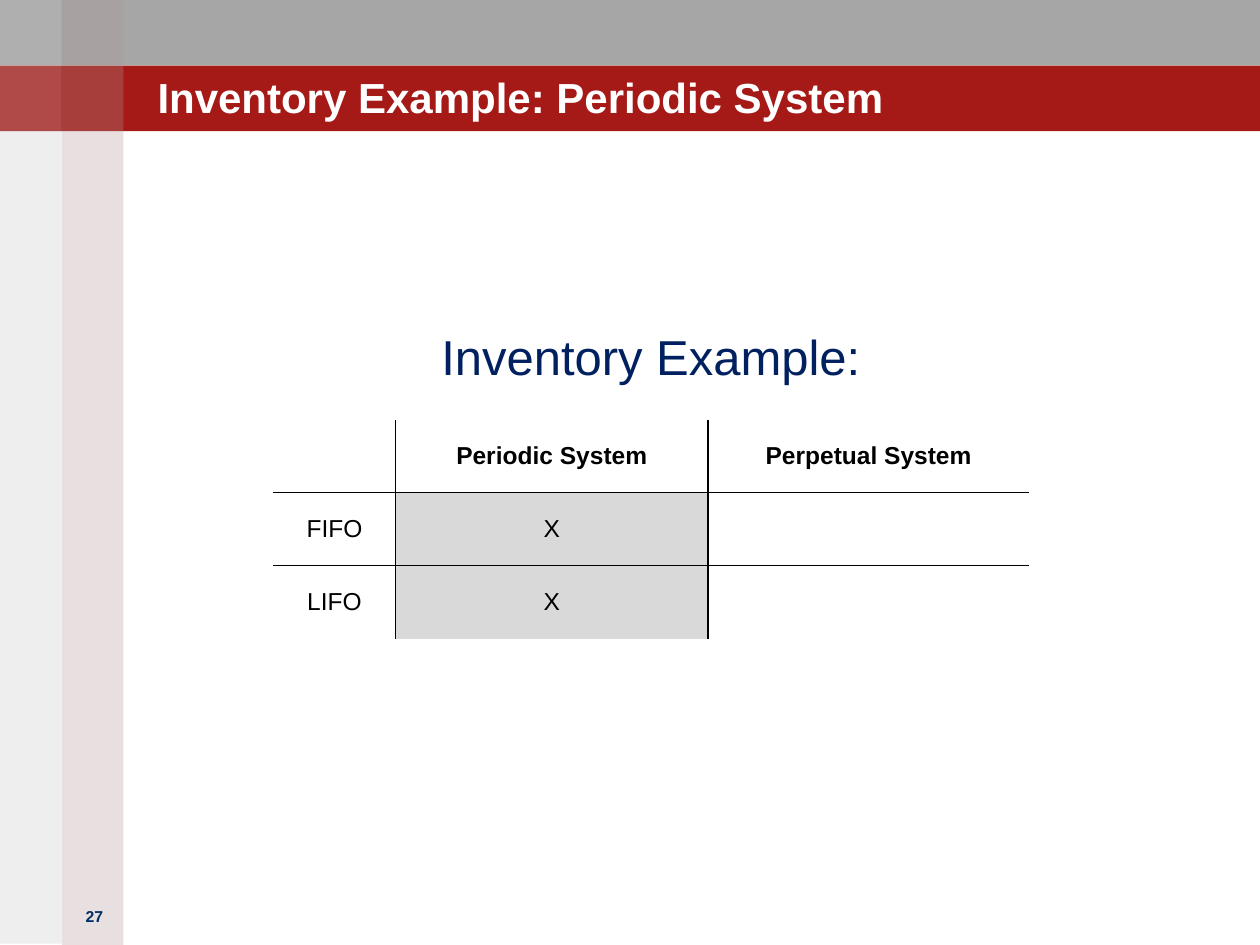
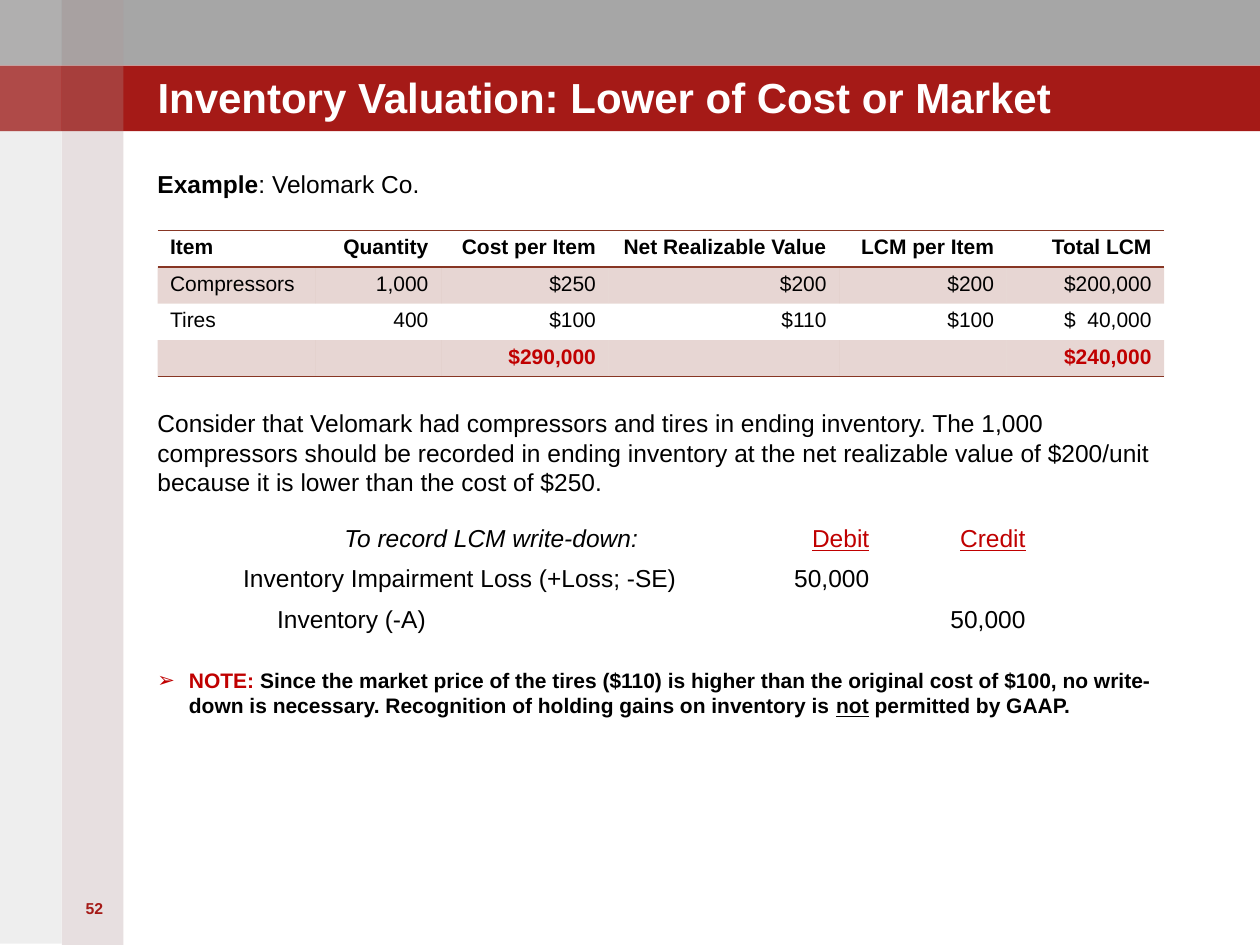
from dataclasses import dataclass

from lxml.etree import SubElement
from pptx import Presentation
from pptx.dml.color import RGBColor
from pptx.enum.shapes import MSO_SHAPE as Shape
from pptx.enum.text import MSO_ANCHOR as Anchor, PP_ALIGN as Align
from pptx.oxml.ns import qn
from pptx.util import Inches, Pt


@dataclass(frozen=True)
class Theme:
    font: str = "Arial"
    black: str = "000000"
    white: str = "FFFFFF"
    gray: str = "A6A6A6"
    red: str = "A51A17"
    accent: str = "C00000"
    navy: str = "002060"
    number_blue: str = "002E62"
    mauve: str = "A08284"
    stone: str = "938F8F"
    selected: str = "D9D9D9"
    rust: str = "873624"
    title: int = 24
    heading: int = 28
    body: int = 14
    small: int = 12
    number: int = 9


T = Theme()
LEFT, CENTER, RIGHT = Align.LEFT, Align.CENTER, Align.RIGHT
NO_TABLE_STYLE = "{2D5ABB26-0587-4C30-8999-92F81FD0307C}"

# Shared frame: left, top, width, height, colour, opacity in percent
BAND, STRIP = 0.52, 0.49
FRAME = [
    (0, 0, 10, BAND, T.gray, 100),
    (0, BAND, 10, BAND, T.red, 100),
    (STRIP, 0, STRIP, 7.5, T.mauve, 25),
    (0, 0, STRIP, 7.49, T.stone, 15),
] + [
    (x, y, STRIP, BAND, T.white, opacity)
    for y in (0, BAND)
    for x, opacity in ((STRIP, 5), (0, 15))
]

METHODS_TITLE = "Inventory Example: Periodic System"
METHODS_HEADING = "Inventory Example:"
METHODS = [
    ("", "Periodic System", "Perpetual System"),
    ("FIFO", "X", ""),
    ("LIFO", "X", ""),
]

VALUATION_TITLE = "Inventory Valuation: Lower of Cost or Market"
EXAMPLE = [("Example", {"bold": True}), (": Velomark Co.", {})]
VALUATION = [
    ("Item", "Quantity", "Cost per Item", "Net Realizable Value",
     "LCM per Item", "Total LCM"),
    ("Compressors", "1,000", "$250", "$200", "$200", "$200,000"),
    ("Tires", "400", "$100", "$110", "$100", "$  40,000"),
    ("", "", "$290,000", "", "", "$240,000"),
]
EXPLANATION = [(
    "Consider that Velomark had compressors and tires in ending inventory. "
    "The 1,000 compressors should be recorded in ending inventory at the net "
    "realizable value of $200/unit because it is lower than the cost of $250.",
    {})]
JOURNAL = [
    ("To record LCM write-down:", "Debit", "Credit"),
    ("Inventory Impairment Loss (+Loss; -SE)", "50,000", ""),
    ("Inventory (-A)", "", "50,000"),
]
NOTE = [
    ("NOTE: ", {"bold": True, "color": T.accent}),
    ("Since the market price of the tires ($110) is higher than the original "
     "cost of $100, no write-down is necessary. Recognition of holding gains "
     "on inventory is ", {"bold": True}),
    ("not", {"bold": True, "underline": True}),
    (" permitted by GAAP.", {"bold": True}),
]


def set_fill(fill, properties, color, opacity=100):
    """Fill solidly; properties is the XML element that holds the fill."""
    fill.solid()
    fill.fore_color.rgb = RGBColor.from_string(color)
    if opacity < 100:
        rgb = properties.find(qn("a:solidFill")).find(qn("a:srgbClr"))
        SubElement(rgb, qn("a:alpha"), val=str(opacity * 1000))


def add_run(paragraph, text, size, color=T.black, bold=False, italic=False,
            underline=False):
    run = paragraph.add_run()
    run.text = text
    font = run.font
    font.name, font.size = T.font, Pt(size)
    font.bold, font.italic, font.underline = bold, italic, underline
    font.color.rgb = RGBColor.from_string(color)


def fill_frame(frame, runs, size, align, anchor):
    """Write runs into a text frame without insets and return its paragraph."""
    frame.word_wrap = True
    frame.vertical_anchor = anchor
    frame.margin_left = frame.margin_right = 0
    frame.margin_top = frame.margin_bottom = 0
    paragraph = frame.paragraphs[0]
    paragraph.alignment = align
    for text, style in runs:
        add_run(paragraph, text, size, **style)
    return paragraph


def add_text(slide, box, runs, size, align=LEFT, anchor=Anchor.TOP):
    frame = slide.shapes.add_textbox(*map(Inches, box)).text_frame
    return fill_frame(frame, runs, size, align, anchor)


def add_arrow_bullet(paragraph, indent=0.25):
    props = paragraph._p.get_or_add_pPr()
    props.set("marL", str(Inches(indent)))
    props.set("indent", str(-Inches(indent)))
    color = SubElement(props, qn("a:buClr"))
    SubElement(color, qn("a:srgbClr"), val=T.accent)
    SubElement(props, qn("a:buFont"), typeface=T.font)
    SubElement(props, qn("a:buChar"), char="➢")


def add_borders(cell_props, sides, color):
    """Draw 1 pt lines on the given sides, a string out of L, R, T, B in that order."""
    for side in sides:
        line = SubElement(cell_props, qn(f"a:ln{side}"), w=str(Pt(1)))
        solid = SubElement(line, qn("a:solidFill"))
        SubElement(solid, qn("a:srgbClr"), val=color)


def add_grid(slide, left, top, widths, row_height, rows, size, align, style,
             borders=None, line=T.black, fill=None, anchor=Anchor.TOP):
    """Add a table; align, style, borders and fill are rules of (row, column)."""
    frame = slide.shapes.add_table(
        len(rows), len(widths), Inches(left), Inches(top),
        Inches(sum(widths)), Inches(row_height * len(rows)))
    for style_id in frame.element.iter(qn("a:tableStyleId")):
        style_id.text = NO_TABLE_STYLE
    table = frame.table
    table.first_row = table.horz_banding = False
    for column, width in zip(table.columns, widths):
        column.width = Inches(width)
    for r, texts in enumerate(rows):
        table.rows[r].height = Inches(row_height)
        for c, text in enumerate(texts):
            cell = table.cell(r, c)
            cell.vertical_anchor = anchor
            cell.margin_top = cell.margin_bottom = Inches(0.04)
            paragraph = cell.text_frame.paragraphs[0]
            paragraph.alignment = align(r, c)
            if text:
                add_run(paragraph, text, size, **style(r, c))
            else:
                SubElement(paragraph._p, qn("a:endParaRPr"), sz=str(size * 100))
            cell_props = cell._tc.get_or_add_tcPr()
            if borders:
                add_borders(cell_props, borders(r, c), line)
            shade = fill(r, c) if fill else None
            if shade:
                set_fill(cell.fill, cell_props, *shade)
            else:
                cell.fill.background()
    return table


def add_frame(layout, slide):
    """Build the bands and strips, then place them behind all in the layout."""
    for index, (x, y, width, height, color, opacity) in enumerate(FRAME):
        part = slide.shapes.add_shape(
            Shape.RECTANGLE, *map(Inches, (x, y, width, height)))
        part.shadow.inherit = False
        part.line.fill.background()
        set_fill(part.fill, part.element.spPr, color, opacity)
        layout.shapes.element.insert(2 + index, part.element)


def start_slide(prs, layout, title, number, number_top, number_color):
    slide = prs.slides.add_slide(layout)
    holder = slide.shapes.title
    holder.left, holder.top = Inches(1.25), Inches(0.3)
    holder.width, holder.height = Inches(8.25), Inches(0.67)
    fill_frame(holder.text_frame, [(title, {"bold": True, "color": T.white})],
               T.title, LEFT, Anchor.BOTTOM)
    add_text(slide, (0.5, number_top, 0.5, 0.2),
             [(number, {"bold": True, "color": number_color})],
             T.number, CENTER)
    return slide


def build_methods(prs, layout):
    slide = start_slide(prs, layout, METHODS_TITLE, "27", 7.2, T.number_blue)
    add_text(slide, (1.25, 2.49, 7.83, 0.67),
             [(METHODS_HEADING, {"color": T.navy})],
             T.heading, CENTER, Anchor.MIDDLE)

    def inner_lines(r, c):
        return (("L" if c > 0 else "") + ("R" if c < 2 else "")
                + ("T" if r > 0 else "") + ("B" if r < 2 else ""))

    add_grid(slide, 2.17, 3.33, (0.97, 2.48, 2.55), 0.58, METHODS, T.body,
             align=lambda r, c: CENTER,
             style=lambda r, c: {"bold": r == 0},
             borders=inner_lines,
             fill=lambda r, c: (T.selected,) if r and c == 1 else None,
             anchor=Anchor.MIDDLE)
    return slide


def build_valuation(prs, layout):
    slide = start_slide(prs, layout, VALUATION_TITLE, "52", 7.13, T.red)
    add_text(slide, (1.25, 1.34, 8, 0.25), EXAMPLE, T.body)

    total = len(VALUATION) - 1
    add_grid(slide, 1.25, 1.83, (1.25, 1, 1.33, 1.83, 1.33, 1.25), 0.29,
             VALUATION, T.small,
             align=lambda r, c: RIGHT if c else LEFT,
             style=lambda r, c: {"bold": r in (0, total),
                                 "color": T.accent if r == total else T.black},
             borders=lambda r, c: {0: "TB", total: "B"}.get(r, ""),
             line=T.rust,
             fill=lambda r, c: (T.rust, 20) if r % 2 else None)

    add_text(slide, (1.25, 3.24, 8, 0.72), EXPLANATION, T.body)

    def journal_style(r, c):
        if r:
            return {}
        return {"underline": True, "color": T.accent} if c else {"italic": True}

    journal = add_grid(
        slide, 1.83, 4.13, (4.14, 1.03, 1.24), 0.32, JOURNAL, T.body,
        align=lambda r, c: RIGHT if c else LEFT if r else CENTER,
        style=journal_style)
    journal.cell(2, 0).margin_left = Inches(0.37)

    add_arrow_bullet(add_text(slide, (1.25, 5.3, 8, 0.42), NOTE, T.small))


def main():
    prs = Presentation()
    prs.slide_width, prs.slide_height = Inches(10), Inches(7.5)
    layout = prs.slide_layouts[5]
    add_frame(layout, build_methods(prs, layout))
    build_valuation(prs, layout)
    prs.save("out.pptx")


if __name__ == "__main__":
    main()
